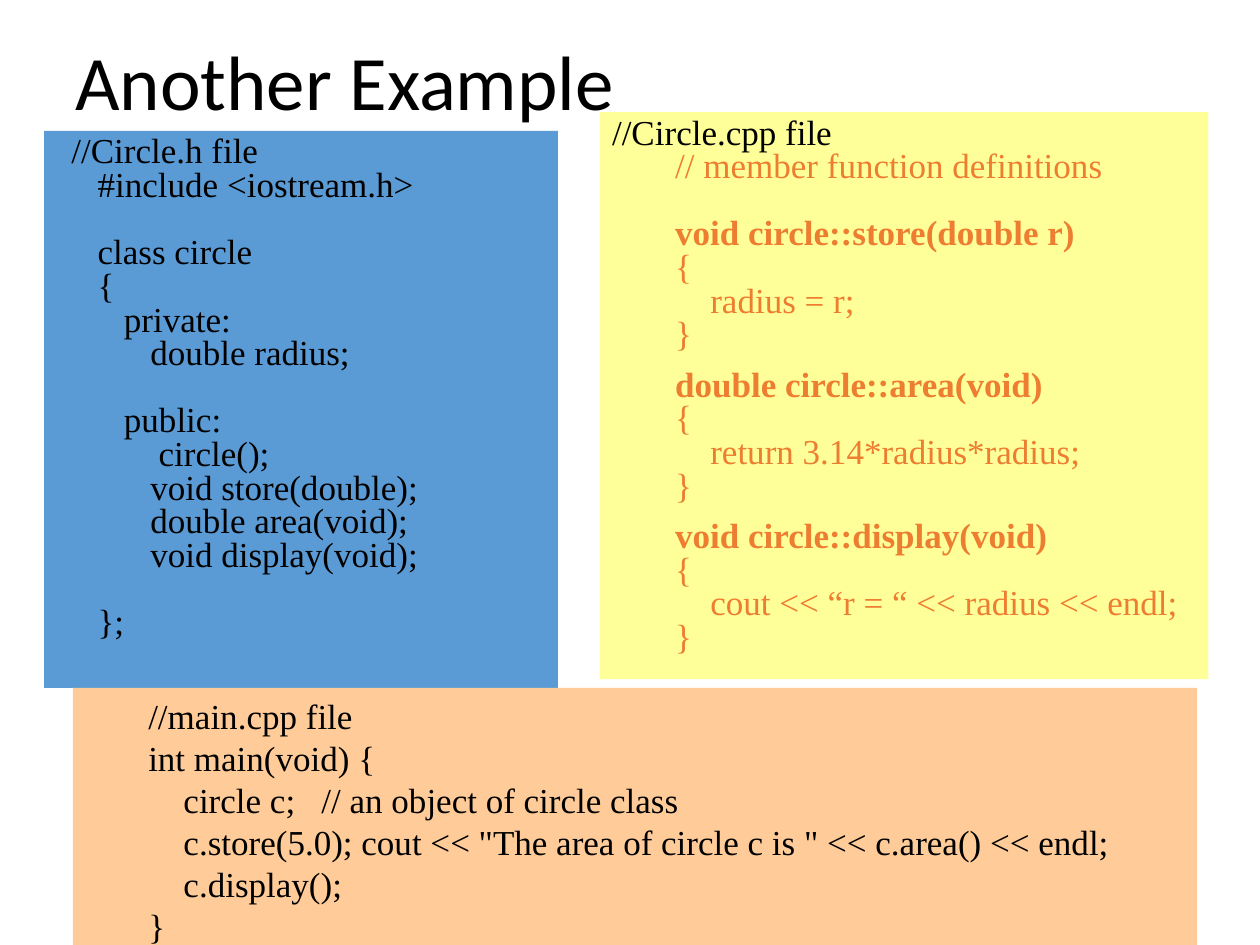
from pptx import Presentation
from pptx.dml.color import RGBColor
from pptx.enum.shapes import MSO_SHAPE
from pptx.enum.text import MSO_ANCHOR, PP_ALIGN
from pptx.util import Cm, Pt

RECTANGLE = MSO_SHAPE.RECTANGLE
TOP = MSO_ANCHOR.TOP
LEFT = PP_ALIGN.LEFT

BLACK = RGBColor(0x00, 0x00, 0x00)
BLUE = RGBColor(0x5B, 0x9B, 0xD5)
YELLOW = RGBColor(0xFF, 0xFF, 0x99)
PEACH = RGBColor(0xFF, 0xCC, 0x99)
ORANGE = RGBColor(0xED, 0x7D, 0x31)

TITLE_FONT = "Calibri"
CODE_FONT = "Times New Roman"
CODE_SIZE = Pt(20)
FULL_GAP = 19.2
HALF_GAP = 9.6

HEADER_LINES = [
    ("//Circle.h file", 0.3, 0),
    ("#include <iostream.h>", 0.83, 0),
    ("class circle", 0.83, FULL_GAP),
    ("{", 0.83, 0),
    ("private:", 1.36, 0),
    ("double radius;", 1.89, 0),
    ("public:", 1.36, FULL_GAP),
    ("circle();", 2.06, 0),
    ("void store(double);", 1.89, 0),
    ("double area(void);", 1.89, 0),
    ("void display(void);", 1.89, 0),
    ("};", 0.83, FULL_GAP),
]

MEMBER_FUNCTIONS = [
    ("void circle::store(double r)", "radius = r;", FULL_GAP),
    ("double circle::area(void)", "return 3.14*radius*radius;", HALF_GAP),
    ("void circle::display(void)", "cout << “r = “ << radius << endl;", HALF_GAP),
]

MAIN_LINES = [
    ("//main.cpp file", 1.27),
    ("int main(void) {", 1.27),
    ("circle c;   // an object of circle class", 1.98),
    ('c.store(5.0); cout << "The area of circle c is " << c.area() << endl;', 1.98),
    ("c.display();", 1.98),
    ("}", 1.27),
]


def add_title(slide, text, left, top, width, height):
    box = slide.shapes.add_textbox(Cm(left), Cm(top), Cm(width), Cm(height))
    frame = box.text_frame
    frame.word_wrap = True
    frame.vertical_anchor = TOP
    paragraph = frame.paragraphs[0]
    paragraph.text = text
    paragraph.line_spacing = 0.9
    paragraph.font.name = TITLE_FONT
    paragraph.font.size = Pt(44)
    paragraph.font.color.rgb = BLACK


def add_panel(slide, fill_color, left, top, width, height):
    panel = slide.shapes.add_shape(
        RECTANGLE, Cm(left), Cm(top), Cm(width), Cm(height)
    )
    panel.shadow.inherit = False
    panel.fill.solid()
    panel.fill.fore_color.rgb = fill_color
    panel.line.fill.background()
    frame = panel.text_frame
    frame.word_wrap = True
    frame.vertical_anchor = TOP
    return frame


def add_code_line(frame, text, indent, gap=0, spacing=0.8, color=BLACK, bold=False):
    paragraph = frame.paragraphs[0]
    if paragraph.runs:
        paragraph = frame.add_paragraph()
    paragraph.text = text
    paragraph.alignment = LEFT
    paragraph.line_spacing = spacing
    paragraph.space_before = Pt(gap)
    paragraph.font.name = CODE_FONT
    paragraph.font.size = CODE_SIZE
    paragraph.font.bold = bold
    paragraph.font.color.rgb = color
    paragraph._p.get_or_add_pPr().set("marL", str(Cm(indent)))


def add_header_file(slide, left, top, width, height):
    frame = add_panel(slide, BLUE, left, top, width, height)
    for text, indent, gap in HEADER_LINES:
        add_code_line(frame, text, indent, gap)


def add_source_file(slide, left, top, width, height):
    frame = add_panel(slide, YELLOW, left, top, width, height)
    add_code_line(frame, "//Circle.cpp file", 0)
    add_code_line(frame, "// member function definitions", 1.27, color=ORANGE)
    for signature, body, gap in MEMBER_FUNCTIONS:
        add_code_line(frame, signature, 1.27, gap, color=ORANGE, bold=True)
        for text, indent in (("{", 1.27), (body, 1.98), ("}", 1.27)):
            add_code_line(frame, text, indent, color=ORANGE)


def add_main_file(slide, left, top, width, height):
    frame = add_panel(slide, PEACH, left, top, width, height)
    for text, indent in MAIN_LINES:
        add_code_line(frame, text, indent, spacing=1.0)


def main():
    presentation = Presentation()
    presentation.slide_width = Cm(25.4)
    presentation.slide_height = Cm(19.05)
    slide = presentation.slides.add_slide(presentation.slide_layouts[6])
    add_title(slide, "Another Example", 1.27, 0.76, 22.86, 2.21)
    add_header_file(slide, 0.89, 2.64, 10.36, 11.23)
    add_source_file(slide, 12.09, 2.26, 12.27, 11.43)
    add_main_file(slide, 1.47, 13.87, 22.66, 5.28)
    presentation.save("out.pptx")


if __name__ == "__main__":
    main()
